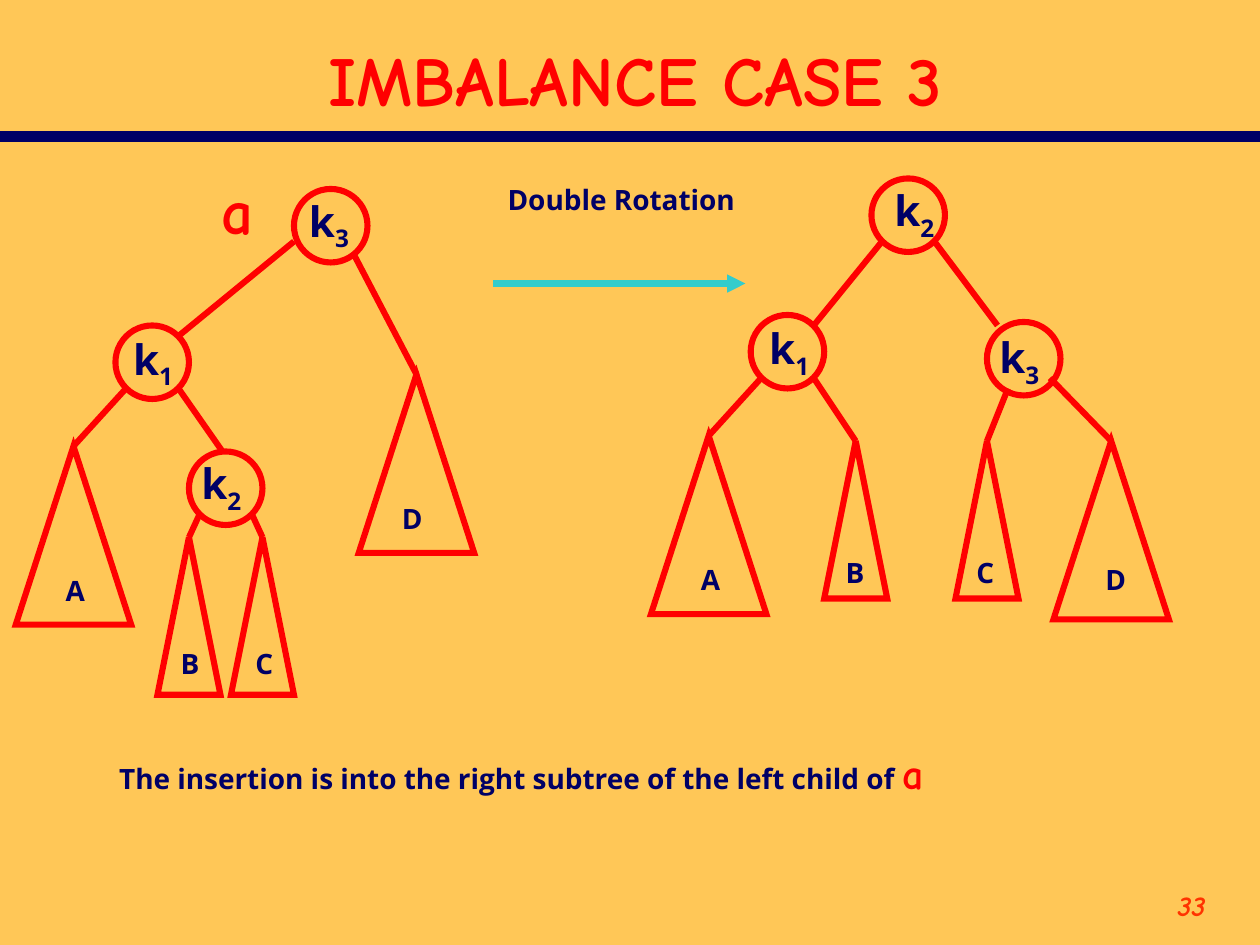
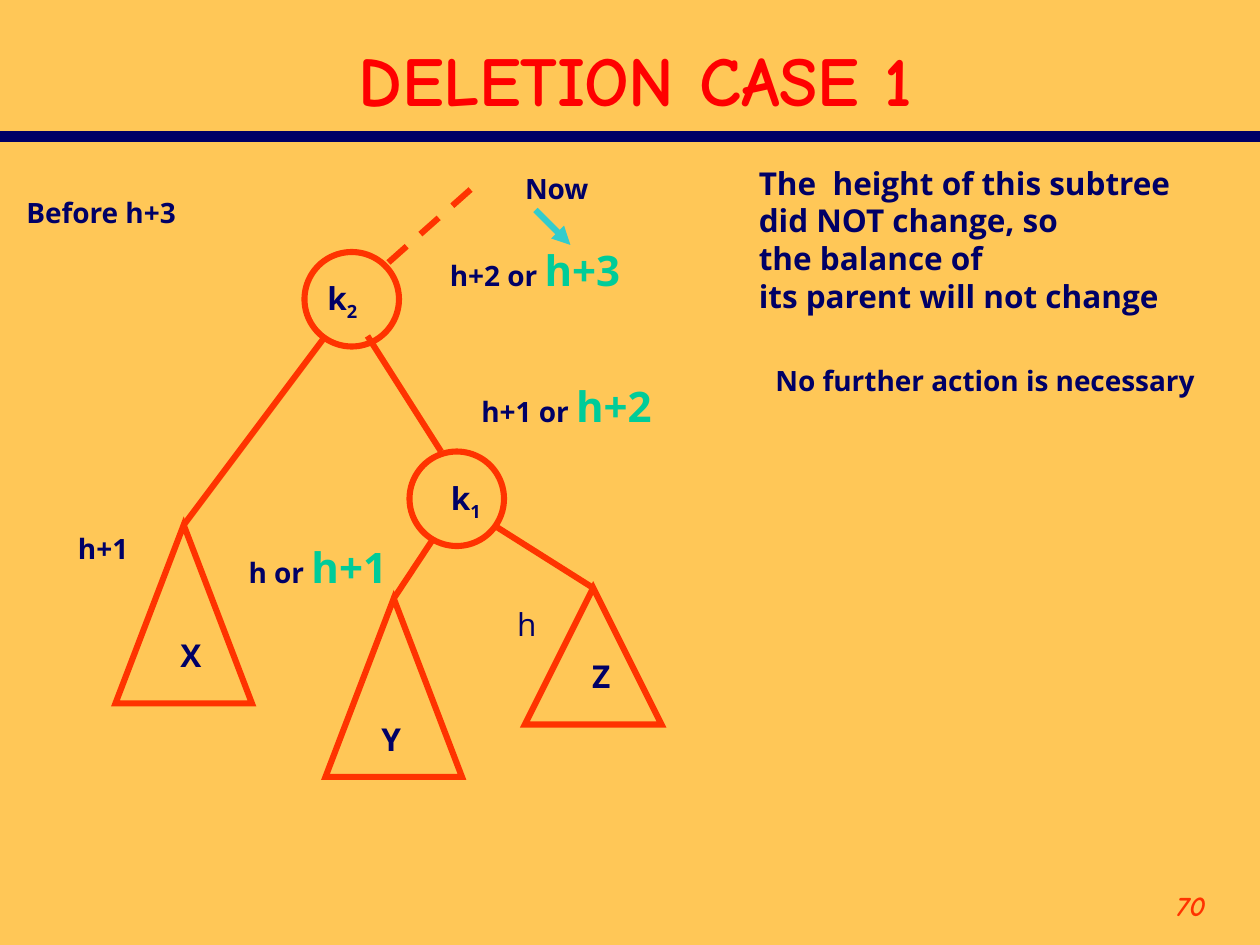
from dataclasses import dataclass

from lxml import etree
from pptx import Presentation
from pptx.dml.color import RGBColor
from pptx.enum import dml, shapes, text
from pptx.oxml.ns import qn
from pptx.util import Pt


@dataclass(frozen=True)
class Theme:
    background: str = "FFC757"
    navy: str = "000066"
    red: str = "FF0000"
    orange: str = "FF3300"
    teal: str = "33CCCC"
    green: str = "00CC99"
    heading_font: str = "Comic Neue"
    body_font: str = "Open Sans"
    title_size: int = 40
    marker_size: int = 36
    large: int = 24
    medium: int = 18
    small: int = 16
    rule_width: float = 6
    stroke: float = 3.5


THEME = Theme()
GREEN = dict(size=THEME.large, color=THEME.green)
MARKER = dict(font=THEME.heading_font, color=THEME.red)
WIDE, NARROW = (66, 102), (36, 90)
TALL, SHORT = (78, 102), (78, 78)


def points(*lengths):
    return [Pt(length) for length in lengths]


def write(slide, box, *paragraphs, align=text.PP_ALIGN.LEFT,
          anchor=text.MSO_ANCHOR.TOP, **base):
    """Write paragraphs, each a string or a list of (string, format) runs."""
    frame = slide.shapes.add_textbox(*points(*box)).text_frame
    frame.word_wrap = True
    frame.vertical_anchor = anchor
    for index, content in enumerate(paragraphs):
        paragraph = frame.add_paragraph() if index else frame.paragraphs[0]
        paragraph.alignment = align
        runs = [(content, {})] if isinstance(content, str) else content
        for words, changes in runs:
            add_run(paragraph, words, **{**base, **changes})


def add_run(paragraph, words, font=THEME.body_font, size=THEME.small,
            color=THEME.navy, bold=True, italic=False, subscript=False):
    run = paragraph.add_run()
    run.text = words
    run.font.name = font
    run.font.size = Pt(size)
    run.font.color.rgb = RGBColor.from_string(color)
    run.font.bold = bold
    run.font.italic = italic
    if subscript:
        run.font._element.set("baseline", "-25000")


def line(slide, start, end, color, width=THEME.stroke, dashed=False, arrow=False):
    link = slide.shapes.add_connector(
        shapes.MSO_CONNECTOR.STRAIGHT, *points(*start, *end))
    link.line.color.rgb = RGBColor.from_string(color)
    link.line.width = Pt(width)
    if dashed:
        link.line.dash_style = dml.MSO_LINE.DASH
    if arrow:
        etree.SubElement(link.line._get_or_add_ln(), qn("a:tailEnd"), type="triangle")
    etree.SubElement(link._element.spPr, qn("a:effectLst"))
    return link


def outline(slide, preset, box, color):
    """Draw an unfilled shape with sharp corners."""
    figure = slide.shapes.add_shape(preset, *points(*box))
    figure.shadow.inherit = False
    figure.fill.background()
    figure.line.color.rgb = RGBColor.from_string(color)
    figure.line.width = Pt(THEME.stroke)
    etree.SubElement(figure.line._get_or_add_ln(), qn("a:miter"), lim="800000")
    return figure


def node(slide, corner, index, label_shift, diameter, size, color):
    """Draw a tree node k with its index as a subscript."""
    left, top = corner
    outline(slide, shapes.MSO_SHAPE.OVAL, (left, top, diameter, diameter), color)
    label_box = (left + label_shift[0], top + label_shift[1],
                 size + 20, 1.67 * size)
    write(slide, label_box, [("k", {}), (index, dict(subscript=True))], size=size)


def subtree(slide, parent_end, apex, extent, name, label_shift, size, color):
    """Draw a triangle hanging from its parent; the label is placed from the apex."""
    x, y = apex
    width, height = extent
    triangle = outline(slide, shapes.MSO_SHAPE.ISOSCELES_TRIANGLE,
                       (x - width / 2, y, width, height), color)
    line(slide, parent_end, apex, color).end_connect(triangle, 0)
    label_width = 32
    write(slide, (x + label_shift[0] - label_width / 2, y + label_shift[1],
                  label_width, 27), name, size=size, align=text.PP_ALIGN.CENTER)


def tree(slide, nodes, edges, subtrees, diameter, node_size, leaf_size, color):
    for corner, index, shift in nodes:
        node(slide, corner, index, shift, diameter, node_size, color)
    for start, end in edges:
        line(slide, start, end, color)
    for leaf in subtrees:
        subtree(slide, *leaf, leaf_size, color)


def new_slide(deck, title, number):
    slide = deck.slides.add_slide(deck.slide_layouts[6])
    slide.background.fill.solid()
    slide.background.fill.fore_color.rgb = RGBColor.from_string(THEME.background)
    line(slide, (0, 78), (720, 78), THEME.navy, THEME.rule_width)
    write(slide, (624, 504, 72, 36), number, align=text.PP_ALIGN.RIGHT,
          font=THEME.heading_font, color=THEME.orange, italic=True)
    write(slide, (30, 18, 666, 54), title, align=text.PP_ALIGN.CENTER,
          anchor=text.MSO_ANCHOR.MIDDLE, size=THEME.title_size, **MARKER)
    return slide


def imbalance_slide(deck):
    slide = new_slide(deck, "IMBALANCE CASE 3", "33")
    style = dict(diameter=42, node_size=THEME.large, leaf_size=THEME.small,
                 color=THEME.red)
    tree(slide,
         nodes=[((168, 108), "3", (1.5, 0)),
                ((66, 186), "1", (3, 1)),
                ((108, 258), "2", (0, 0))],
         edges=[((168, 138), (102, 192)), ((102, 222), (127.5, 258.5))],
         subtrees=[((72, 222), (42, 255), WIDE, "A", (1, 69)),
                   ((114, 294), (108, 307), NARROW, "B", (0.5, 59)),
                   ((144, 294), (150, 307), NARROW, "C", (1, 59)),
                   ((202, 145), (238, 214), WIDE, "D", (-2.5, 69))],
         **style)
    tree(slide,
         nodes=[((498, 102), "2", (6, 0)),
                ((429, 180), "1", (3.5, 1)),
                ((564, 184), "3", (0, 2))],
         edges=[((504, 138), (465, 186)), ((534, 138), (570, 186))],
         subtrees=[((435, 216), (405, 249), WIDE, "A", (1, 69)),
                   ((465, 216), (489, 252), NARROW, "B", (-0.5, 62)),
                   ((576, 222), (564, 252), NARROW, "C", (-1, 62)),
                   ((600, 216), (635, 252), WIDE, "D", (2.5, 66))],
         **style)
    write(slide, (119.5, 94.5, 38, 50), "a", size=THEME.marker_size, **MARKER)
    write(slide, (283, 101, 152, 27), "Double Rotation")
    line(slide, (282, 162), (426, 162), THEME.teal, arrow=True)
    write(slide, (61, 423.5, 490, 65),
          [("The insertion is into the right subtree of the left child of ", {}),
           ("a", dict(size=THEME.large, **MARKER))])


def deletion_slide(deck):
    slide = new_slide(deck, "DELETION CASE 1", "70")
    tree(slide,
         nodes=[((174, 144), "2", (6, 12)), ((234, 258), "1", (16.5, 12))],
         edges=[((210, 192), (252, 258))],
         subtrees=[((186, 192), (105, 300), TALL, "X", (4, 60)),
                   ((247.5, 308), (225, 342), TALL, "Y", (-1.5, 66)),
                   ((282, 300), (339, 336), SHORT, "Z", (4.5, 36))],
         diameter=54, node_size=THEME.medium, leaf_size=THEME.medium,
         color=THEME.orange)
    line(slide, (222, 150), (276, 102), THEME.orange, dashed=True)
    line(slide, (306, 120), (326, 140), THEME.teal, arrow=True)

    for box, before, now in [((250, 136, 120, 36), "h+2 or ", "h+3"),
                             ((268, 214, 120, 36), "h+1 or ", "h+2"),
                             ((135, 306, 102, 36), "h or ", "h+1")]:
        write(slide, box, [(before, {}), (now, GREEN)])
    for box, label in [((8, 108, 108, 27), "Before h+3"),
                       ((293, 94.5, 58, 27), "Now"),
                       ((37.5, 300, 50, 27), "h+1"),
                       ((436, 204, 264, 27), "No further action is necessary")]:
        write(slide, box, label)
    write(slide, (288.5, 342, 30, 29), "h", size=THEME.medium, bold=False)
    write(slide, (426.5, 90, 262, 94), "The  height of this subtree",
          "did NOT change, so", "the balance of", "its parent will not change",
          size=THEME.medium)


def main():
    deck = Presentation()
    deck.slide_width, deck.slide_height = points(720, 540)
    imbalance_slide(deck)
    deletion_slide(deck)
    deck.save("out.pptx")


if __name__ == "__main__":
    main()
